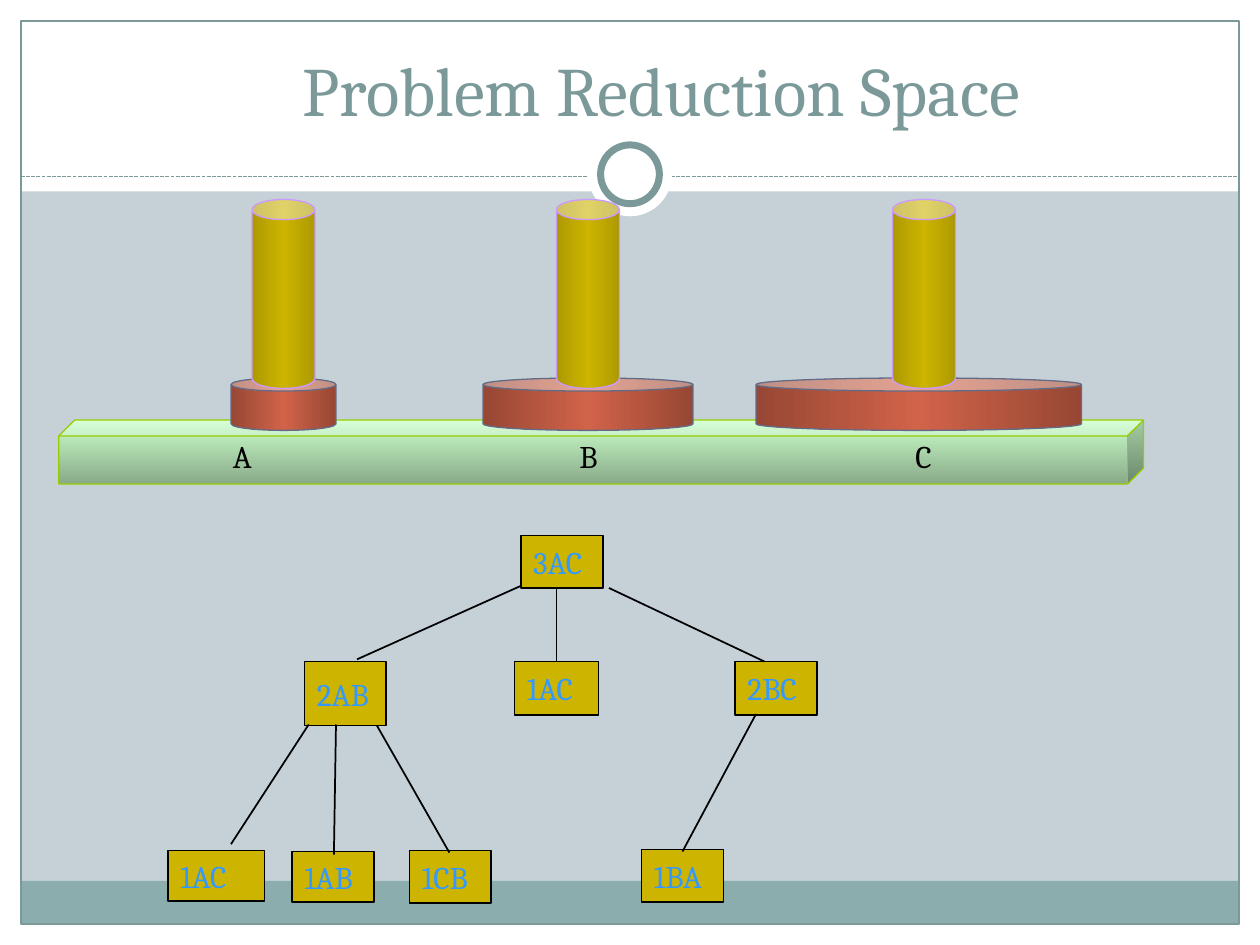
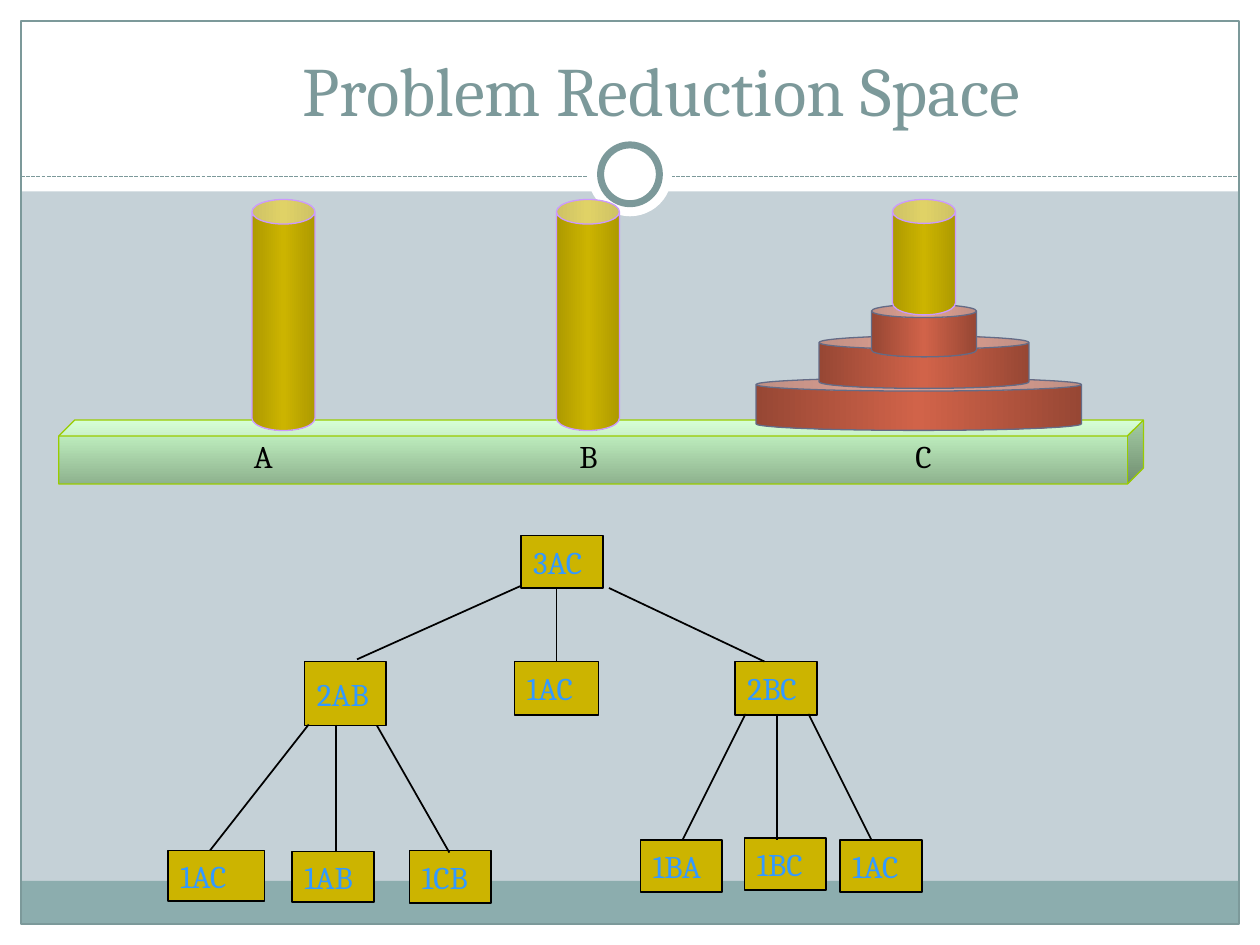
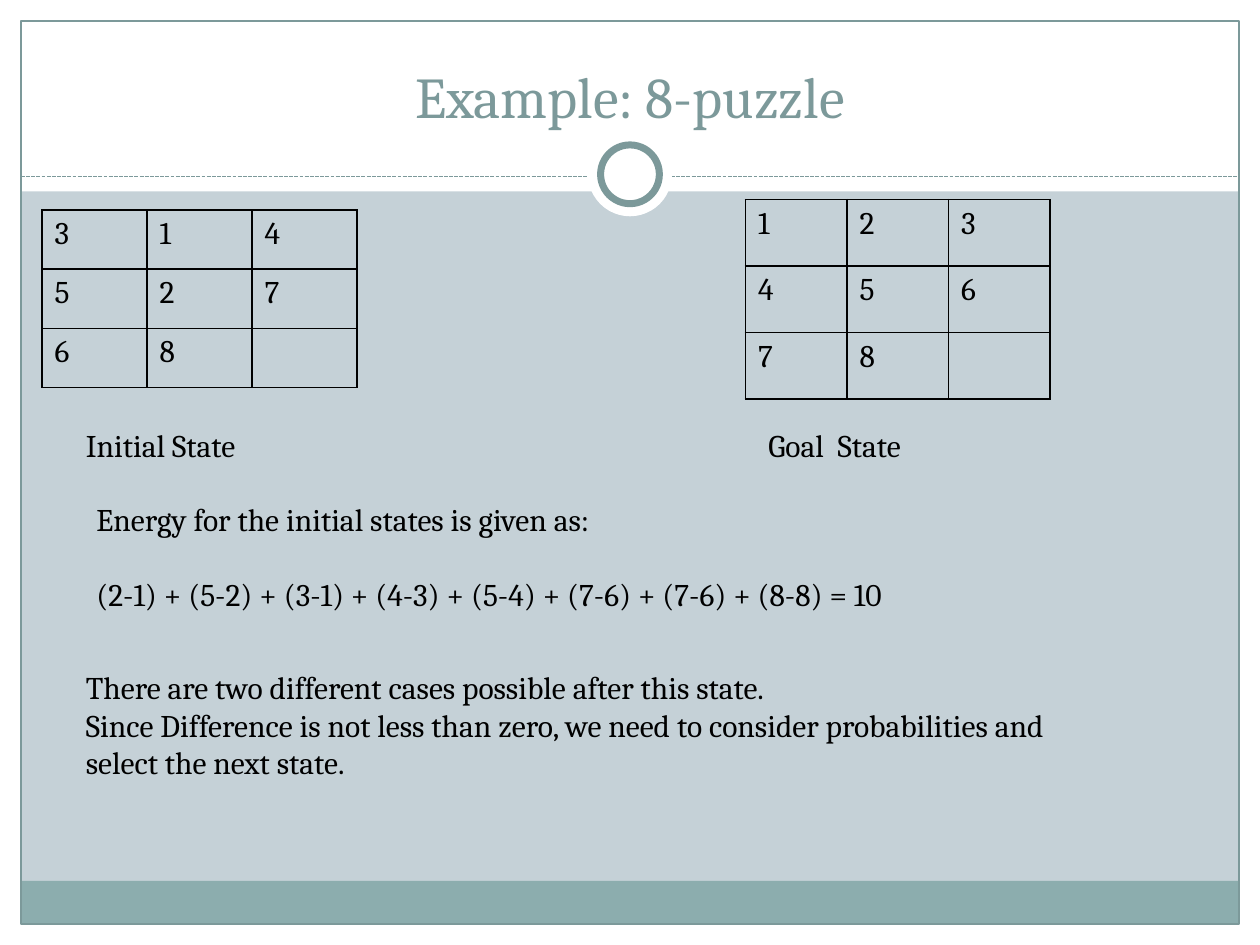
from collections import namedtuple

from lxml import etree
from pptx import Presentation
from pptx import util as u
from pptx.dml.color import RGBColor
from pptx.enum import dml, shapes, text
from pptx.oxml import ns

COLUMNS, ROWS = 120, 90
WIDTH, HEIGHT = u.Inches(10), u.Inches(7.5)
FONT = "Cambria"

WHITE = RGBColor(0xFF, 0xFF, 0xFF)
BLACK = RGBColor(0x00, 0x00, 0x00)
BACKDROP = RGBColor(0xC5, 0xD1, 0xD7)
SLATE = RGBColor(0x7C, 0x99, 0x9A)
TEAL = RGBColor(0x8C, 0xAD, 0xAE)
GOLD = RGBColor(0xCC, 0xB4, 0x00)
BLUE = RGBColor(0x33, 0x99, 0xFF)
RUST = RGBColor(0xD1, 0x63, 0x49)
INDIGO = RGBColor(0x64, 0x6B, 0x86)
LILAC = RGBColor(0xCC, 0x99, 0xFF)
LIME = RGBColor(0x99, 0xCC, 0x00)
MINT = RGBColor(0xCC, 0xFF, 0xCC)
MOSS = RGBColor(0x88, 0xAA, 0x88)
LIGHT_MOSS = RGBColor(0x8E, 0xB2, 0x8E)

SHAPE = shapes.MSO_SHAPE
ANCHOR = text.MSO_ANCHOR
ALIGN = text.PP_ALIGN

Box = namedtuple("Box", "left top width height")
Peg = namedtuple("Peg", "label center label_left label_width height depth discs")

COMMON_NODES = [
    ("3AC", Box(33.6, 0, 7.8, 5)),
    ("2AB", Box(13, 12, 7.8, 6.1)),
    ("1AC", Box(33, 12, 8, 5.1)),
    ("2BC", Box(54, 12, 7.8, 5.1)),
    ("1AC", Box(0, 30, 9.2, 4.8)),
    ("1AB", Box(11.8, 30.1, 7.8, 4.8)),
    ("1CB", Box(23, 30, 7.8, 5)),
]
COMMON_LINKS = [
    (33.6, 4.8, 18, 11.8),
    (37, 5, 37, 12),
    (42, 5, 56.8, 12),
    (19.9, 18.1, 26.8, 30.2),
]


def x(columns):
    return round(WIDTH * columns / COLUMNS)


def y(rows):
    return round(HEIGHT * rows / ROWS)


def area(box):
    return x(box.left), y(box.top), x(box.width), y(box.height)


def inside(outer, box):
    return box._replace(left=outer.left + box.left, top=outer.top + box.top)


def apply(target, values):
    for name, value in values.items():
        setattr(target, name, value)


def add_form(page, kind, box, fill=None, line=None, weight=0.75):
    form = page.shapes.add_shape(kind, *area(box))
    form.shadow.inherit = False
    if fill is None:
        form.fill.background()
    else:
        form.fill.solid()
        form.fill.fore_color.rgb = fill
    if line is None:
        form.line.fill.background()
    else:
        form.line.color.rgb = line
        form.line.width = u.Pt(weight)
    return form


def add_line(page, ends, color, weight, dash=None):
    left, top, right, bottom = ends
    line = page.shapes.add_connector(
        shapes.MSO_CONNECTOR.STRAIGHT, x(left), y(top), x(right), y(bottom))
    line.line.color.rgb = color
    line.line.width = u.Pt(weight)
    if dash:
        line.line.dash_style = dash
    etree.SubElement(line.element.spPr, ns.qn("a:effectLst"))


def shade_over(form, stops, angle):
    form.fill.gradient()
    form.fill.gradient_angle = angle
    stop_list = form.element.spPr.find(".//" + ns.qn("a:gsLst"))
    for old_stop in list(stop_list):
        stop_list.remove(old_stop)
    for position, color, shade in stops:
        stop = etree.SubElement(stop_list, ns.qn("a:gs"), pos=str(position * 1000))
        tint = etree.SubElement(stop, ns.qn("a:srgbClr"), val=str(color))
        if shade:
            etree.SubElement(tint, ns.qn("a:shade"), val=str(round(shade * 1000)))


def write(frame, lines, size=18, color=BLACK, align=ALIGN.LEFT,
          anchor=ANCHOR.TOP, wrap=True, gap=0):
    apply(frame, {"word_wrap": wrap, "vertical_anchor": anchor})
    for index, line in enumerate(lines):
        para = frame.paragraphs[0] if index == 0 else frame.add_paragraph()
        para.alignment = align
        if index and gap:
            para.space_before = u.Pt(gap)
        span = para.add_run()
        span.text = line
        apply(span.font, {"name": FONT, "size": u.Pt(size)})
        span.font.color.rgb = color


def add_text(page, box, lines, **style):
    write(page.shapes.add_textbox(*area(box)).text_frame, lines, **style)


def add_frame(page):
    bands = [
        (Box(0, 88, COLUMNS, 2), WHITE),
        (Box(0, 0, COLUMNS, 18.24), WHITE),
        (Box(0, 0, 2, ROWS), WHITE),
        (Box(118, 0, 2, ROWS), WHITE),
        (Box(2, 83.9, 116, 4.1), TEAL),
    ]
    for box, color in bands:
        add_form(page, SHAPE.RECTANGLE, box, color)
    add_form(page, SHAPE.RECTANGLE, Box(2, 2, 116, 86), line=SLATE)
    add_line(page, (2, 16.8, 118, 16.8), SLATE, 0.75, dml.MSO_LINE.SQUARE_DOT)
    for size, line in ((8, None), (5.6, SLATE)):
        ring = Box((COLUMNS - size) / 2, 16.6 - size / 2, size, size)
        add_form(page, SHAPE.OVAL, ring, WHITE, line, 4)


def add_page(deck, title, box, size):
    page = deck.slides.add_slide(deck.slide_layouts[6])
    add_frame(page)
    add_text(page, box, [title], size=size, color=SLATE,
             align=ALIGN.CENTER, anchor=ANCHOR.BOTTOM)
    return page


def add_can(page, box, depth, color, shade, line):
    can = add_form(page, SHAPE.CAN, box, color, line)
    can.adjustments[0] = depth
    shade_over(can, [(0, color, shade), (50, color, None), (100, color, shade)], 0)


def add_towers(page, box, pegs, base_color):
    base = add_form(page, SHAPE.CUBE, inside(box, Box(0.6, 21, 103.3, 6.1)), MINT, LIME)
    base.adjustments[0] = 0.25
    shade_over(base, [(0, MINT, None), (100, base_color, None)], 270)
    for peg in pegs:
        label = Box(peg.label_left, 22, peg.label_width, 4.8)
        add_text(page, inside(box, label), [peg.label], anchor=ANCHOR.MIDDLE)
        for size, row in peg.discs:
            disc = Box(peg.center - (size + 1) // 2, row, size, 5)
            add_can(page, inside(box, disc), 0.25, RUST, 47.8, INDIGO)
        pole = Box(peg.center - 3, 0, 6, peg.height)
        add_can(page, inside(box, pole), peg.depth, GOLD, 70, LILAC)


def add_tree(page, box, nodes, links):
    for label, place in COMMON_NODES + nodes:
        node = add_form(page, SHAPE.RECTANGLE, inside(box, place), GOLD, BLACK, 1)
        write(node.text_frame, [label], color=BLUE, anchor=ANCHOR.MIDDLE, wrap=False)
    for left, top, right, bottom in COMMON_LINKS + links:
        ends = (box.left + left, box.top + top, box.left + right, box.top + bottom)
        add_line(page, ends, BLACK, 1)


def add_reduction_page(deck, pegs, base_color, nodes, links):
    page = add_page(deck, "Problem Reduction Space", Box(9, 5, 108, 8), 39.6)
    add_towers(page, Box(5, 19, 104, 27), pegs, base_color)
    add_tree(page, Box(16, 51, 72, 35), nodes, links)


def add_borders(cell):
    properties = cell._tc.get_or_add_tcPr()
    for side in "LRTB":
        border = etree.SubElement(properties, ns.qn("a:ln" + side), w=str(u.Pt(1)))
        fill = etree.SubElement(border, ns.qn("a:solidFill"))
        etree.SubElement(fill, ns.qn("a:srgbClr"), val=str(BLACK))


def add_board(page, box, rows):
    board = page.shapes.add_table(len(rows), len(rows[0]), *area(box)).table
    apply(board, {"first_row": False, "horz_banding": False})
    for row_index, digits in enumerate(rows):
        for column_index, digit in enumerate(digits):
            cell = board.cell(row_index, column_index)
            add_borders(cell)
            cell.fill.background()
            if digit.strip():
                write(cell.text_frame, [digit])


def add_puzzle_page(deck):
    page = add_page(deck, "Example: 8-puzzle", Box(4, 3, 112, 10), 33)
    add_board(page, Box(4, 20, 30, 16.9), ["314", "527", "68 "])
    add_board(page, Box(71, 19, 29, 19), ["123", "456", "78 "])
    add_text(page, Box(7, 40, 23, 4.8), ["Initial State"])
    add_text(page, Box(72, 40, 38, 4.8), ["Goal  State"])
    add_text(page, Box(8, 47, 101, 12.1), [
        "Energy for the initial states is given as:",
        "(2-1) + (5-2) + (3-1) + (4-3) + (5-4) + (7-6) + (7-6) + (8-8) = 10",
    ], gap=21.4)
    add_text(page, Box(7, 63, 99, 15.7), [
        "There are two different cases possible after this state.",
        "Since Difference is not less than zero, we need to consider "
        "probabilities and select the next state.",
    ])


def main():
    deck = Presentation()
    apply(deck, {"slide_width": WIDTH, "slide_height": HEIGHT})
    backdrop = deck.slide_master.background.fill
    backdrop.solid()
    backdrop.fore_color.rgb = BACKDROP

    add_reduction_page(
        deck,
        [Peg("A", 22, 16, 6, 18, 0.32, [(10, 17)]),
         Peg("B", 51, 49, 5, 18, 0.32, [(20, 17)]),
         Peg("C", 83, 81, 6, 18, 0.32, [(31, 17)])],
        MOSS,
        [("1BA", Box(45.1, 29.9, 7.8, 5))],
        [(13.4, 18, 6, 29.4), (16, 18, 15.8, 30.4), (56, 17, 49, 30.1)])
    add_reduction_page(
        deck,
        [Peg("A", 22, 18, 6, 22, 0.39, []),
         Peg("B", 51, 49, 5, 22, 0.39, []),
         Peg("C", 83, 81, 6, 11, 0.38, [(31, 17), (20, 13), (10, 10)])],
        LIGHT_MOSS,
        [("1BA", Box(45, 29, 7.8, 5)),
         ("1BC", Box(54.9, 28.8, 7.8, 5)),
         ("1AC", Box(64, 29, 7.8, 5))],
        [(13.4, 18, 4, 30), (16, 18, 16, 30),
         (55, 17, 49, 29), (58, 17, 58, 29), (61, 17, 67, 29)])
    add_puzzle_page(deck)
    deck.save("out.pptx")


if __name__ == "__main__":
    main()
